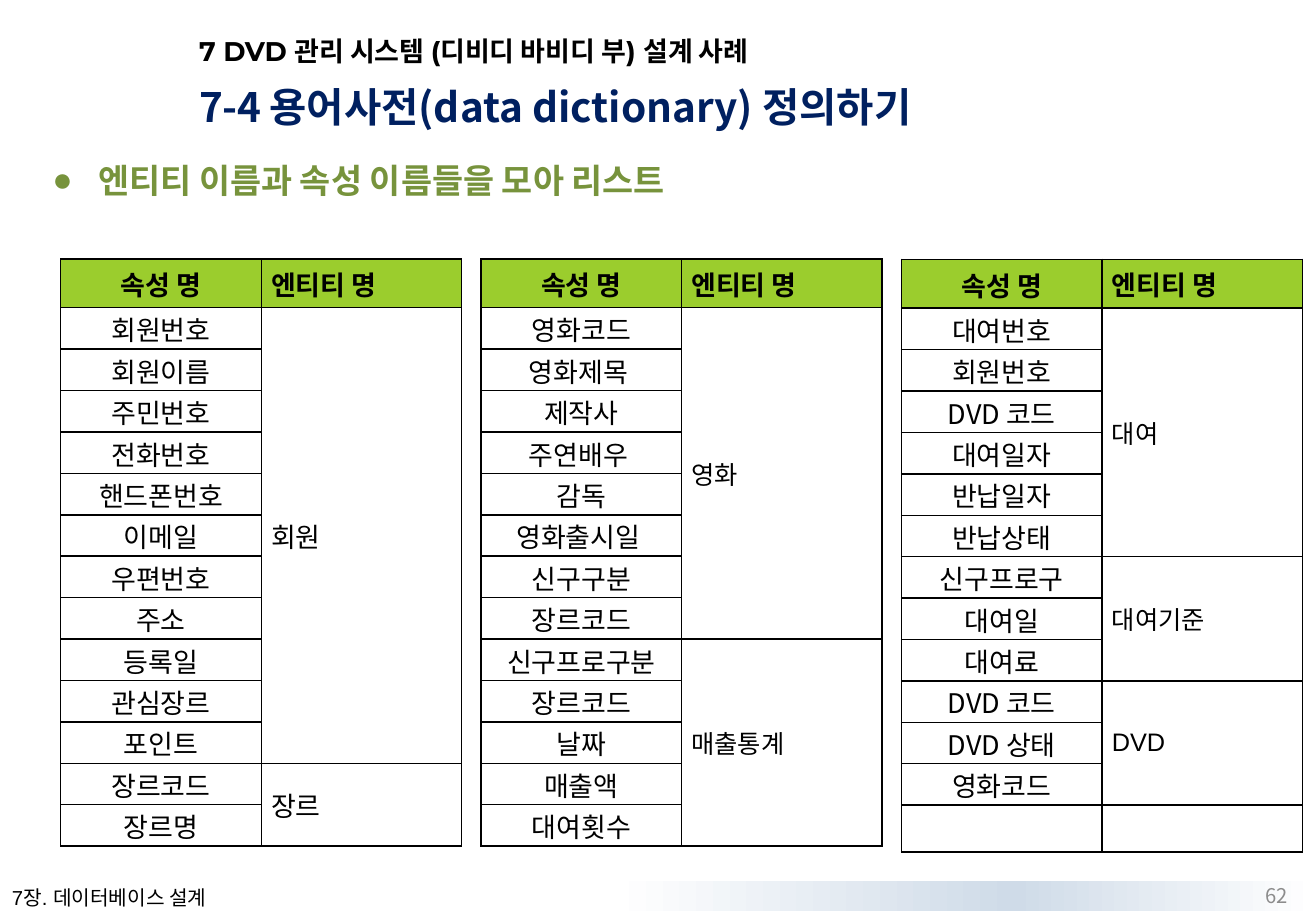
from copy import deepcopy

from lxml import etree
from pptx import Presentation
from pptx.dml.color import RGBColor
from pptx.enum import shapes, text
from pptx.oxml import ns
from pptx.util import Pt

BLACK = RGBColor(0x00, 0x00, 0x00)
WHITE = RGBColor(0xFF, 0xFF, 0xFF)
NAVY = RGBColor(0x00, 0x20, 0x60)
OLIVE = RGBColor(0x77, 0x93, 0x3C)
GRAY = RGBColor(0x8C, 0x8C, 0x8C)
LIME = RGBColor(0x9B, 0xCD, 0x2D)
PALE_BLUE = RGBColor(0xCF, 0xDB, 0xE8)
NOTO, ARIAL, MONTSERRAT = "Noto Sans CJK KR", "Arial", "Montserrat"

CHAPTER = "7 DVD 관리 시스템 (디비디 바비디 부) 설계 사례"
SECTION = [("7-4", 24), (" ", 20), ("용어사전(data dictionary) 정의하기", 24)]
SUMMARY = "엔티티 이름과 속성 이름들을 모아 리스트"
FOOTER = "7장. 데이터베이스 설계"
PAGE = "62"
HEADINGS = ("속성 명", "엔티티 명")
DICTIONARIES = [
    (36, 153.4, 16, [
        ("회원", ["회원번호", "회원이름", "주민번호", "전화번호", "핸드폰번호", "이메일",
                "우편번호", "주소", "등록일", "관심장르", "포인트"]),
        ("장르", ["장르코드", "장르명"]),
    ]),
    (285.1, 153.4, 15, [
        ("영화", ["영화코드", "영화제목 ", "제작사", "주연배우 ", "감독", "영화출시일 ",
                "신구구분", "장르코드"]),
        ("매출통계", ["신구프로구분", "장르코드", "날짜", "매출액", "대여횟수"]),
    ]),
    (534.2, 153.7, 15, [
        ("대여", ["대여번호", "회원번호", "DVD 코드", "대여일자", "반납일자", "반납상태"]),
        ("대여기준", ["신구프로구", "대여일", "대여료"]),
        ("DVD", ["DVD 코드", "DVD 상태", "영화코드"]),
        ("", [""]),
    ]),
]
COLUMN_WIDTH, HEADING_HEIGHT, ROW_HEIGHT, EMPTY_HEIGHT = 118.8, 29, 24.56, 27.8


def style_run(run, size, face, color, bold=False):
    run.font.size = Pt(size)
    run.font.name = face
    run.font.bold = bold
    run.font.color.rgb = color
    run.font._element.set("kern", "0")
    east_asian = etree.SubElement(run.font._element, ns.qn("a:ea"))
    east_asian.set("typeface", NOTO)


def add_label(slide, place, pieces, face, color, bold=False, wrap=True,
              anchor=text.MSO_ANCHOR.TOP, align=text.PP_ALIGN.LEFT):
    frame = slide.shapes.add_textbox(*map(Pt, place)).text_frame
    frame.word_wrap = wrap
    frame.vertical_anchor = anchor
    line = frame.paragraphs[0]
    line.alignment = align
    for words, size in pieces:
        run = line.add_run()
        run.text = words
        style_run(run, size, face, color, bold)
    return line


def add_bullet(line):
    properties = line._p.get_or_add_pPr()
    properties.set("marL", str(Pt(27)))
    properties.set("indent", str(-Pt(27)))
    etree.SubElement(properties, ns.qn("a:buFont")).set("typeface", ARIAL)
    etree.SubElement(properties, ns.qn("a:buChar")).set("char", "●")


def add_borders(cell):
    properties = cell._tc.get_or_add_tcPr()
    for position, side in enumerate(("lnL", "lnR", "lnT", "lnB")):
        border = etree.Element(ns.qn("a:" + side), w=str(Pt(1)))
        fill = etree.SubElement(border, ns.qn("a:solidFill"))
        etree.SubElement(fill, ns.qn("a:srgbClr")).set("val", str(BLACK))
        properties.insert(position, border)


def fill_cell(cell, words, column, size, heading=False):
    cell.text = words
    cell.vertical_anchor = text.MSO_ANCHOR.MIDDLE
    margins = (5.8, 2.9, 5.8, 2.9) if column else (0.7, 0.7, 0.7, 0)
    (cell.margin_left, cell.margin_top,
     cell.margin_right, cell.margin_bottom) = map(Pt, margins)
    line = cell.text_frame.paragraphs[0]
    line.alignment = text.PP_ALIGN.LEFT if column else text.PP_ALIGN.CENTER
    for run in line.runs:
        style_run(run, size, ARIAL if column else NOTO, BLACK, heading)
    if not words:
        line.font.size = Pt(size)


def add_dictionary(slide, left, top, entity_size, entities):
    heights = [HEADING_HEIGHT] + [ROW_HEIGHT if name else EMPTY_HEIGHT
                                  for _, names in entities for name in names]
    grid = slide.shapes.add_table(len(heights), 2, Pt(left), Pt(top),
                                  Pt(2 * COLUMN_WIDTH), Pt(sum(heights))).table
    for column in grid.columns:
        column.width = Pt(COLUMN_WIDTH)
    for row, height in zip(grid.rows, heights):
        row.height = Pt(height)
    for cell in grid.iter_cells():
        cell.fill.background()
        add_borders(cell)
    for column, heading in enumerate(HEADINGS):
        cell = grid.cell(0, column)
        fill_cell(cell, heading, column, 16, heading=True)
        cell.fill.solid()
        cell.fill.fore_color.rgb = LIME
    first = 1
    for entity, names in entities:
        for row, name in enumerate(names, first):
            fill_cell(grid.cell(row, 0), name, 0, 16)
        fill_cell(grid.cell(first, 1), entity, 1, entity_size)
        last = first + len(names) - 1
        if last > first:
            grid.cell(first, 1).merge(grid.cell(last, 1))
        first = last + 1


def add_panel(slide, *place):
    panel = slide.shapes.add_shape(shapes.MSO_SHAPE.RECTANGLE, *map(Pt, place))
    panel.shadow.inherit = False
    panel.line.fill.background()
    panel.fill.solid()
    panel.fill.fore_color.rgb = WHITE
    return panel


def add_footer_band(slide):
    band = add_panel(slide, 363, 522, 416.76, 18)
    band.fill.gradient()
    band.fill.gradient_angle = 0
    stops = band.fill._fill._gradFill.gsLst
    stops.insert(1, deepcopy(stops[0]))
    for stop, position, color in zip(band.fill.gradient_stops, (0, 0.57, 1),
                                     (WHITE, PALE_BLUE, WHITE)):
        stop.position = position
        stop.color.rgb = color


def main():
    deck = Presentation()
    deck.slide_width, deck.slide_height = Pt(779.76), Pt(540)
    slide = deck.slides.add_slide(deck.slide_layouts[6])
    middle, bottom = text.MSO_ANCHOR.MIDDLE, text.MSO_ANCHOR.BOTTOM
    add_footer_band(slide)
    add_panel(slide, 24, 78, 755.76, 444)
    add_label(slide, (0, 521.3, 141.8, 21.6), [(FOOTER, 12)], ARIAL, BLACK, wrap=False)
    summary = add_label(slide, (24, 84, 744, 426), [(SUMMARY, 20)], NOTO, OLIVE, bold=True)
    summary.line_spacing = 1.3
    add_bullet(summary)
    add_label(slide, (110.9, 18, 482.4, 24), [(CHAPTER, 16)], MONTSERRAT, BLACK,
              bold=True, anchor=middle)
    add_label(slide, (588.2, 522, 182.2, 18), [(PAGE, 12)], NOTO, GRAY,
              anchor=middle, align=text.PP_ALIGN.RIGHT)
    add_label(slide, (110.9, 48, 555, 33), SECTION, NOTO, NAVY, bold=True, anchor=bottom)
    for dictionary in DICTIONARIES:
        add_dictionary(slide, *dictionary)
    deck.save("out.pptx")


if __name__ == "__main__":
    main()
